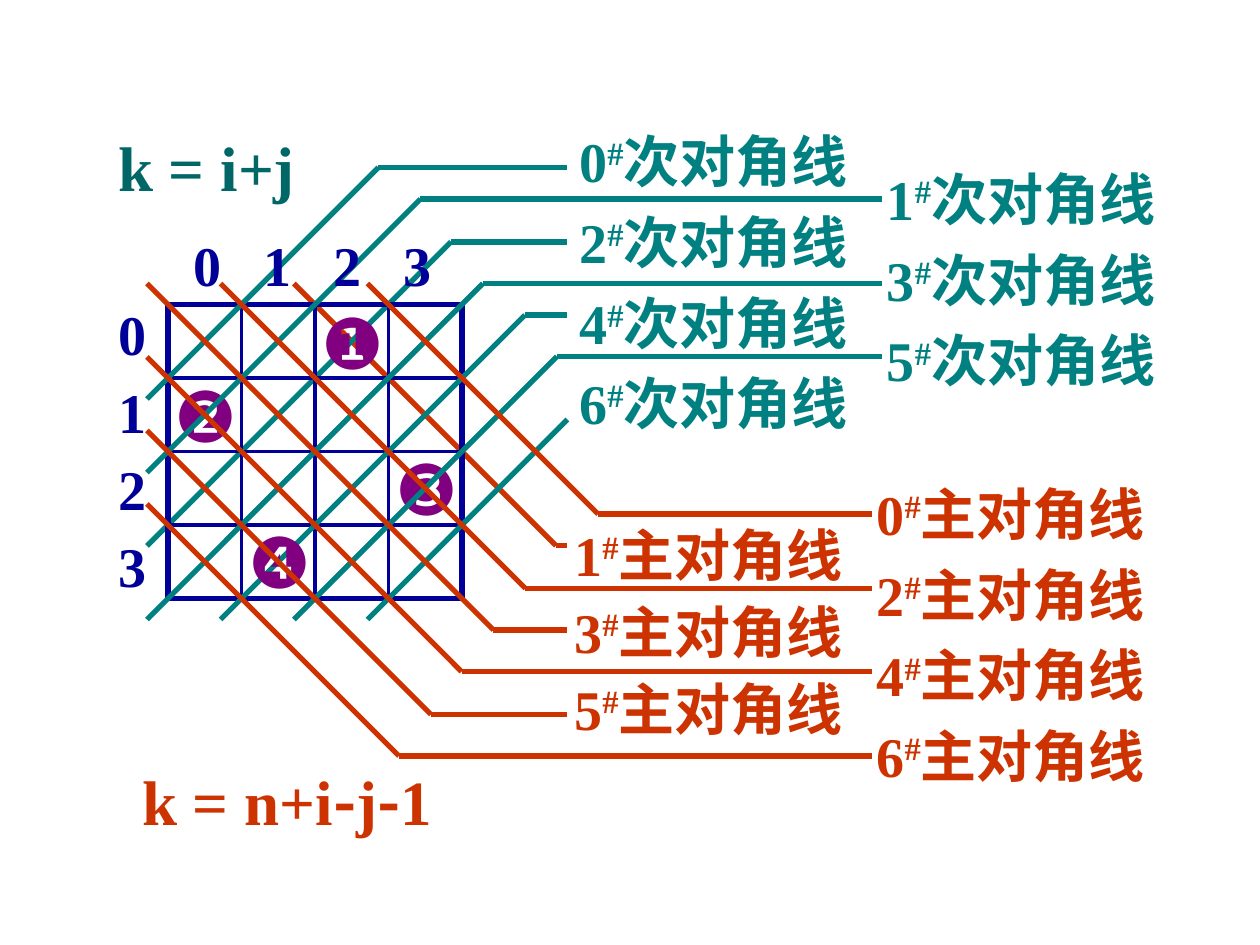
from lxml import etree
from pptx import Presentation
from pptx.dml.color import RGBColor
from pptx.enum import shapes, text
from pptx.oxml import ns
from pptx.util import Inches, Pt

TEAL = RGBColor(0x00, 0x80, 0x80)
DARK_TEAL = RGBColor(0x00, 0x66, 0x66)
RED = RGBColor(0xCC, 0x33, 0x00)
NAVY = RGBColor(0x00, 0x00, 0x99)
PURPLE = RGBColor(0x80, 0x00, 0x80)

SERIF = "Times New Roman"
CJK = "Noto Sans CJK SC"

SIZE = 4
CELL = 7 / 12
LEFT = 4 / 3
TOP = 29 / 12
OVERHANG = 1 / 6
SIDE = SIZE * CELL

MAIN_BENDS = [4.08, 4.33, 4.67, 5, 5.33, 5.67, 6]
MAIN_LABEL_X = (6.92, 4.5)
ANTI_BENDS = [1.33, 1.58, 1.92, 2.25, 2.5, 2.83, 3.33]
ANTI_LABEL_X = (4.5, 7)


def add_line(slide, start, end, color, width=3):
    points = [Inches(value) for value in (*start, *end)]
    line = slide.shapes.add_connector(shapes.MSO_CONNECTOR.STRAIGHT, *points)
    line.line.color.rgb = color
    line.line.width = Pt(width)
    etree.SubElement(line._element.spPr, ns.qn("a:effectLst"))


def add_run(paragraph, content, size, color, font=SERIF, bold=True, baseline=None):
    run = paragraph.add_run()
    run.text = content
    run.font.size = Pt(size)
    run.font.bold = bold
    run.font.name = font
    run.font.color.rgb = color
    properties = run._r.get_or_add_rPr()
    etree.SubElement(properties, ns.qn("a:ea")).set("typeface", CJK)
    if baseline:
        properties.set("baseline", str(baseline * 1000))


def add_text(slide, box, lines, size, color, spacing=1, wrap=False, bold=True):
    shape = slide.shapes.add_textbox(*[Inches(value) for value in box])
    frame = shape.text_frame
    frame.word_wrap = wrap
    frame.auto_size = text.MSO_AUTO_SIZE.SHAPE_TO_FIT_TEXT
    for index, runs in enumerate(lines):
        paragraph = frame.add_paragraph() if index else frame.paragraphs[0]
        paragraph.line_spacing = spacing
        for content, options in runs:
            add_run(paragraph, content, size, color, bold=bold, **options)
    return frame


def add_labels(slide, box, numbers, name, color, spacing=1.2):
    lines = [
        [(str(number), {}), ("#", {"baseline": 30}), (name, {})]
        for number in numbers
    ]
    add_text(slide, box, lines, 32, color, spacing)


def add_main_diagonal(slide, k):
    x = LEFT - OVERHANG + max(SIZE - 1 - k, 0) * CELL
    y = TOP - OVERHANG + max(k - SIZE + 1, 0) * CELL
    bend_y = MAIN_BENDS[k]
    bend = (x + bend_y - y, bend_y)
    add_line(slide, (x, y), bend, RED)
    add_line(slide, bend, (MAIN_LABEL_X[k % 2], bend_y), RED)


def add_anti_diagonal(slide, k):
    x = LEFT - OVERHANG + max(k - SIZE + 1, 0) * CELL
    y = TOP + OVERHANG + min(k + 1, SIZE) * CELL
    bend_y = ANTI_BENDS[k]
    bend = (x + y - bend_y, bend_y)
    add_line(slide, (x, y), bend, TEAL)
    if k < 2 * SIZE - 2:
        add_line(slide, bend, (ANTI_LABEL_X[k % 2], bend_y), TEAL)


def add_grid(slide):
    for index in range(SIZE + 1):
        width = 3 if index in (0, SIZE) else 2.25
        offset = index * CELL
        add_line(slide, (LEFT, TOP + offset), (LEFT + SIDE, TOP + offset), NAVY, width)
        add_line(slide, (LEFT + offset, TOP), (LEFT + offset, TOP + SIDE), NAVY, width)


def add_queen(slide, symbol, row, column):
    box = (1.29 + column * CELL, 2.33 + row * 0.58, 0.7, 0.77)
    add_text(slide, box, [[(symbol, {"font": "Arial"})]], 40, PURPLE, bold=False)


def add_indices(slide):
    frame = add_text(slide, (1.44, 1.78, 2.31, 0.64), [[("0\t1\t2\t3", {})]], 32, NAVY, wrap=True)
    properties = frame.paragraphs[0]._p.get_or_add_pPr()
    tabs = etree.SubElement(properties, ns.qn("a:tabLst"))
    for index in range(1, SIZE):
        tab = etree.SubElement(tabs, ns.qn("a:tab"))
        tab.set("pos", str(Inches(index * 5 / 9)))
        tab.set("algn", "l")
    rows = [[(str(index), {})] for index in range(SIZE)]
    add_text(slide, (0.84, 2.25, 0.42, 2.56), rows, 32, NAVY, 1.15)


def add_formulas(slide):
    add_text(slide, (0.84, 0.97, 1.6, 0.7), [[("k = i+j", {})]], 36, DARK_TEAL)
    minus = ("-", {"font": CJK})
    formula = [("k = n+i", {}), minus, ("j", {}), minus, ("1", {})]
    add_text(slide, (1.03, 6, 2.73, 0.7), [formula], 36, RED)


def main():
    presentation = Presentation()
    presentation.slide_width = Inches(10)
    presentation.slide_height = Inches(7.5)
    slide = presentation.slides.add_slide(presentation.slide_layouts[6])

    add_main_diagonal(slide, 1)
    add_anti_diagonal(slide, 2)
    add_grid(slide)
    for symbol, row, column in (("❶", 0, 2), ("❷", 1, 0), ("❸", 2, 3)):
        add_queen(slide, symbol, row, column)
    for k in (0, 1, 3, 4, 5, 6):
        add_anti_diagonal(slide, k)
    for k in (0, 2, 4, 6):
        add_main_diagonal(slide, k)
    add_queen(slide, "❹", 3, 1)
    for k in (3, 5):
        add_main_diagonal(slide, k)

    add_labels(slide, (4.5, 0.85, 2.55, 2.66), (0, 2, 4, 6), "次对角线", TEAL)
    add_labels(slide, (6.94, 1.15, 2.44, 2.02), (1, 3, 5), "次对角线", TEAL)
    add_labels(slide, (6.86, 3.65, 2.44, 2.66), (0, 2, 4, 6), "主对角线", RED)
    add_labels(slide, (4.46, 4, 2.44, 1.94), (1, 3, 5), "主对角线", RED, 1.15)
    add_indices(slide)
    add_formulas(slide)
    presentation.save("out.pptx")


if __name__ == "__main__":
    main()
